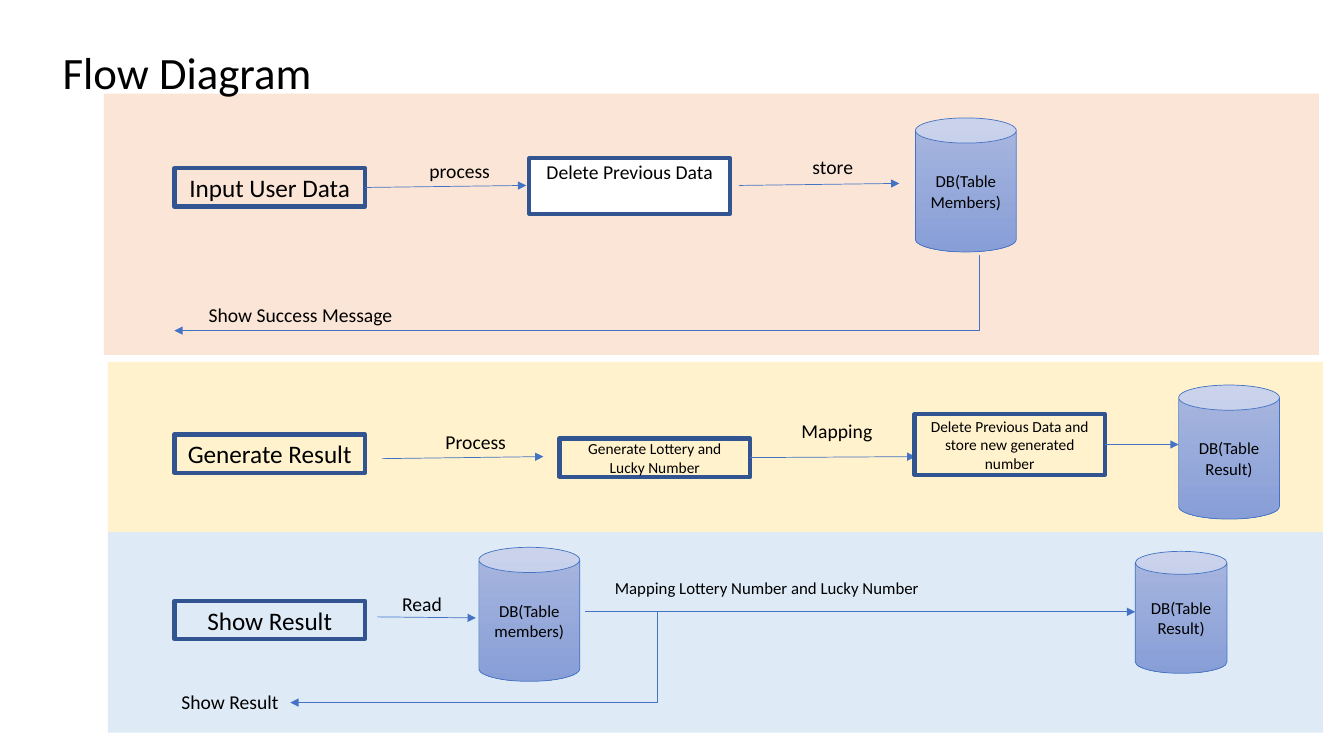
from lxml.etree import SubElement
from pptx import Presentation
from pptx.dml.color import RGBColor
from pptx.enum.shapes import MSO_CONNECTOR as Link, MSO_SHAPE as Preset
from pptx.enum.text import MSO_ANCHOR as Anchor, MSO_AUTO_SIZE as AutoSize, PP_ALIGN as Align
from pptx.oxml.ns import qn
from pptx.util import Inches, Pt

BLACK = RGBColor(0x00, 0x00, 0x00)
WHITE = RGBColor(0xFF, 0xFF, 0xFF)
PEACH = RGBColor(0xFB, 0xE5, 0xD6)
CREAM = RGBColor(0xFF, 0xF2, 0xCC)
PALE_BLUE = RGBColor(0xDE, 0xEB, 0xF7)
BORDER = RGBColor(0x32, 0x54, 0x91)
ARROW = RGBColor(0x44, 0x72, 0xC4)
CAN_TOP = RGBColor(0xA8, 0xB7, 0xDF)
CAN_BOTTOM = RGBColor(0x88, 0x9E, 0xD7)


def write(frame, text, size=14, align=Align.LEFT, anchor=Anchor.TOP, wrap=True, spacing=None):
    frame.word_wrap = wrap
    frame.vertical_anchor = anchor
    paragraph = frame.paragraphs[0]
    paragraph.alignment = align
    paragraph.line_spacing = spacing
    run = paragraph.add_run()
    run.text = text
    run.font.size = Pt(size)
    run.font.name = "Calibri"
    run.font.color.rgb = BLACK


class FlowSlide:
    def __init__(self, slide):
        self.slide = slide
        self.shapes = slide.shapes

    def title(self, text, left, top, width, height):
        heading = self.shapes.title
        heading.left, heading.top = Inches(left), Inches(top)
        heading.width, heading.height = Inches(width), Inches(height)
        write(heading.text_frame, text, size=32, anchor=Anchor.MIDDLE, spacing=0.9)
        heading.text_frame.auto_size = AutoSize.NONE
        # Bring the heading in front of the bands
        heading.element.getparent().append(heading.element)

    def preset(self, kind, left, top, width, height):
        shape = self.shapes.add_shape(kind, Inches(left), Inches(top), Inches(width), Inches(height))
        shape.shadow.inherit = False
        return shape

    def band(self, left, top, height, color):
        band = self.preset(Preset.RECTANGLE, left, top, 12.05, height)
        band.fill.solid()
        band.fill.fore_color.rgb = color
        band.line.fill.background()

    def step(self, text, left, top, width=1.89, height=0.38, size=18, fill=None, anchor=Anchor.MIDDLE):
        step = self.preset(Preset.RECTANGLE, left, top, width, height)
        if fill is None:
            step.fill.background()
        else:
            step.fill.solid()
            step.fill.fore_color.rgb = fill
        step.line.color.rgb = BORDER
        step.line.width = Pt(3)
        if anchor == Anchor.TOP:
            step.text_frame.margin_top = Inches(0.02)
        write(step.text_frame, text, size=size, align=Align.CENTER, anchor=anchor)

    def database(self, text, left, top, width=1, height=1.33):
        can = self.preset(Preset.CAN, left, top, width, height)
        can.fill.gradient()
        can.fill.gradient_angle = 270
        for stop, color in zip(can.fill.gradient_stops, (CAN_TOP, CAN_BOTTOM)):
            stop.color.rgb = color
        for stop, position in zip(can.fill.gradient_stops, (0, 1)):
            stop.position = position
        can.line.color.rgb = ARROW
        can.line.width = Pt(0.5)
        write(can.text_frame, text, size=12, align=Align.CENTER, anchor=Anchor.MIDDLE)

    def label(self, text, left, top, width, height=0.34, size=14):
        box = self.shapes.add_textbox(Inches(left), Inches(top), Inches(width), Inches(height))
        write(box.text_frame, text, size=size, wrap=size < 14)
        box.text_frame.auto_size = AutoSize.SHAPE_TO_FIT_TEXT

    def arrow(self, x1, y1, x2, y2, kind=Link.STRAIGHT, bend=None):
        arrow = self.shapes.add_connector(kind, Inches(x1), Inches(y1), Inches(x2), Inches(y2))
        arrow.line.color.rgb = ARROW
        arrow.line.width = Pt(0.5)
        properties = arrow.element.spPr
        SubElement(properties.find(qn("a:ln")), qn("a:tailEnd"), type="triangle")
        SubElement(properties, qn("a:effectLst"))
        if bend is not None:
            guides = properties.find(qn("a:prstGeom")).find(qn("a:avLst"))
            SubElement(guides, qn("a:gd"), name="adj1", fmla=f"val {bend}")


deck = Presentation()
deck.slide_width, deck.slide_height = Inches(13.33), Inches(7.5)
flow = FlowSlide(deck.slides.add_slide(deck.slide_layouts[5]))

# Bands and heading
flow.band(1.07, 5.27, 2, PALE_BLUE)
flow.band(1.07, 3.59, 1.69, CREAM)
flow.band(1.03, 0.93, 2.59, PEACH)
flow.title("Flow Diagram", 0.52, 0.38, 11.5, 0.73)

# First step of each flow
for action, top in (("Input User Data", 1.67), ("Generate Result", 4.31), ("Show Result", 5.96)):
    flow.step(action, 1.73, top)

# Input flow
flow.arrow(3.62, 1.86, 5.22, 1.84)
flow.label("process", 4.16, 1.53, 0.81)
flow.step("Delete Previous Data", 5.25, 1.57, 1.99, 0.55, size=14, fill=WHITE, anchor=Anchor.TOP)
flow.arrow(7.33, 1.84, 8.92, 1.82)
flow.label("store", 7.96, 1.49, 0.61)
flow.database("DB(Table Members)", 9.08, 1.17)
flow.arrow(9.71, 2.53, 1.73, 3.28, Link.ELBOW, bend=-100)
flow.label("Show Success Message", 1.97, 2.96, 2.04)

# Generation flow
flow.arrow(3.79, 4.55, 5.39, 4.53)
flow.label("Process", 4.32, 4.22, 0.81)
flow.step("Generate Lottery and Lucky Number", 5.55, 4.35, size=11)
flow.arrow(7.44, 4.54, 9.08, 4.53)
flow.label("Mapping", 7.85, 4.11, 0.91)
flow.step("Delete Previous Data and store new generated number", 9.07, 4.11, height=0.6, size=11)
flow.arrow(10.96, 4.41, 11.69, 4.41)
flow.database("DB(Table Result)", 11.69, 3.82)

# Result flow
flow.arrow(3.74, 6.12, 4.72, 6.13)
flow.label("Read", 3.89, 5.82, 0.7)
flow.database("DB(Table members)", 4.75, 5.43)
flow.arrow(5.8, 6.07, 11.26, 6.07)
flow.label("Mapping Lottery Number and Lucky Number", 6, 5.68, 5.08, 0.31, size=12)
flow.database("DB(Table Result)", 11.26, 5.47, 0.91, 1.21)
flow.arrow(10.16, 6.07, 2.88, 6.97, Link.ELBOW, bend=50000)
flow.label("Show Result", 1.7, 6.8, 1.18)

deck.save("out.pptx")
